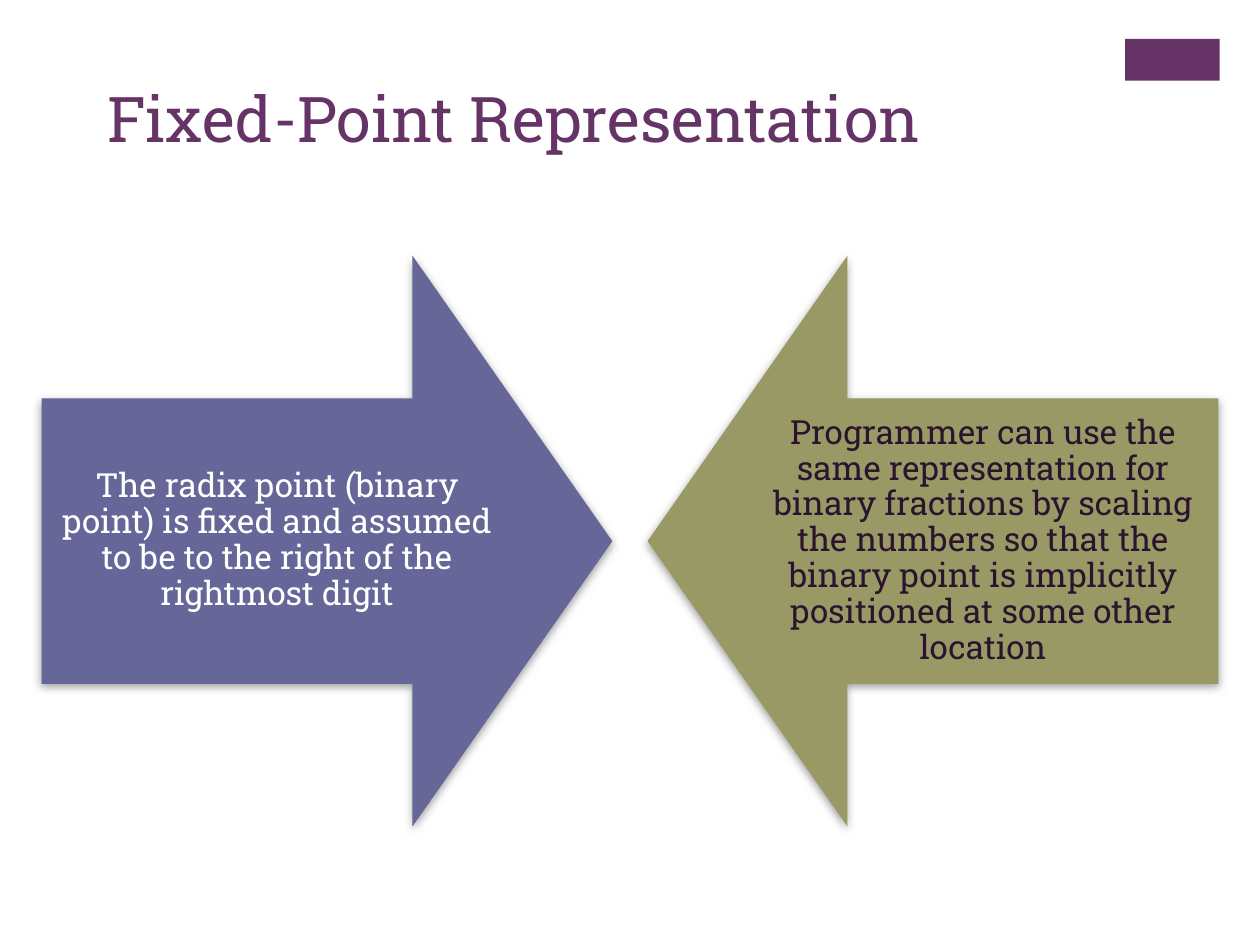
from dataclasses import dataclass

from lxml.etree import SubElement
from pptx import Presentation
from pptx.dml.color import RGBColor
from pptx.enum.shapes import MSO_SHAPE
from pptx.enum.text import MSO_ANCHOR, PP_ALIGN
from pptx.oxml.ns import qn
from pptx.util import Inches, Pt


@dataclass(frozen=True)
class Theme:
    font: str = "Roboto Slab"
    plum: RGBColor = RGBColor(0x66, 0x33, 0x66)
    indigo: RGBColor = RGBColor(0x66, 0x66, 0x99)
    olive: RGBColor = RGBColor(0x99, 0x99, 0x66)
    light_text: RGBColor = RGBColor(0xFF, 0xFF, 0xFF)
    dark_text: RGBColor = RGBColor(0x2B, 0x14, 0x2D)
    shadow: str = "808080"
    title_size: Pt = Pt(36)
    body_size: Pt = Pt(19)


THEME = Theme()


def set_font(para, size, color):
    para.font.name = THEME.font
    para.font.size = size
    para.font.color.rgb = color


def add_filled_shape(page, kind, box, color):
    shape = page.shapes.add_shape(kind, *box)
    shape.shadow.inherit = False
    shape.fill.solid()
    shape.fill.fore_color.rgb = color
    shape.line.fill.background()
    return shape


def add_soft_shadow(shape):
    effects = shape._element.spPr.find(qn("a:effectLst"))
    shadow = SubElement(effects, qn("a:outerShdw"), blurRad=str(Pt(5)),
                        dist=str(Pt(2)), dir="5400000", rotWithShape="0")
    color = SubElement(shadow, qn("a:srgbClr"), val=THEME.shadow)
    SubElement(color, qn("a:alpha"), val="75000")


def place_title(page, box, text):
    title = page.shapes.title
    title.left, title.top, title.width, title.height = box
    frame = title.text_frame
    frame.text = text
    frame.vertical_anchor = MSO_ANCHOR.TOP
    para = frame.paragraphs[0]
    para.alignment = PP_ALIGN.LEFT
    set_font(para, THEME.title_size, THEME.plum)


def add_text_arrow(page, kind, box, fill, text, text_color):
    arrow = add_filled_shape(page, kind, box, fill)
    arrow.adjustments[0] = 0.5
    arrow.adjustments[1] = 0.35
    add_soft_shadow(arrow)
    frame = arrow.text_frame
    frame.word_wrap = True
    frame.vertical_anchor = MSO_ANCHOR.MIDDLE
    frame.margin_left = frame.margin_right = Inches(0.15)
    frame.margin_top = frame.margin_bottom = Inches(0.15)
    frame.text = text
    para = frame.paragraphs[0]
    para.alignment = PP_ALIGN.CENTER
    para.line_spacing = 0.9
    set_font(para, THEME.body_size, text_color)


def add_facing_arrows(page, box):
    """Place two square arrows at the box's ends, pointing at each other."""
    left, top, width, size = box
    add_text_arrow(
        page, MSO_SHAPE.RIGHT_ARROW, (left, top, size, size), THEME.indigo,
        "The radix point (binary point) is fixed and assumed to be to the "
        "right of the rightmost digit", THEME.light_text)
    add_text_arrow(
        page, MSO_SHAPE.LEFT_ARROW, (left + width - size, top, size, size),
        THEME.olive,
        "Programmer can use the same representation for binary fractions by "
        "scaling the numbers so that the binary point is implicitly "
        "positioned at some other location", THEME.dark_text)


def main():
    deck = Presentation()
    deck.slide_width, deck.slide_height = Inches(10), Inches(7.5)
    page = deck.slides.add_slide(deck.slide_layouts.get_by_name("Title Only"))
    corner = (Inches(8.93), Inches(0.31), Inches(0.75), Inches(0.33))
    add_filled_shape(page, MSO_SHAPE.RECTANGLE, corner, THEME.plum)
    place_title(page, (Inches(0.75), Inches(0.58), Inches(8.26), Inches(1.22)),
                "Fixed-Point Representation")
    add_facing_arrows(
        page, (Inches(0.33), Inches(2.03), Inches(9.34), Inches(4.53)))
    deck.save("out.pptx")


if __name__ == "__main__":
    main()
